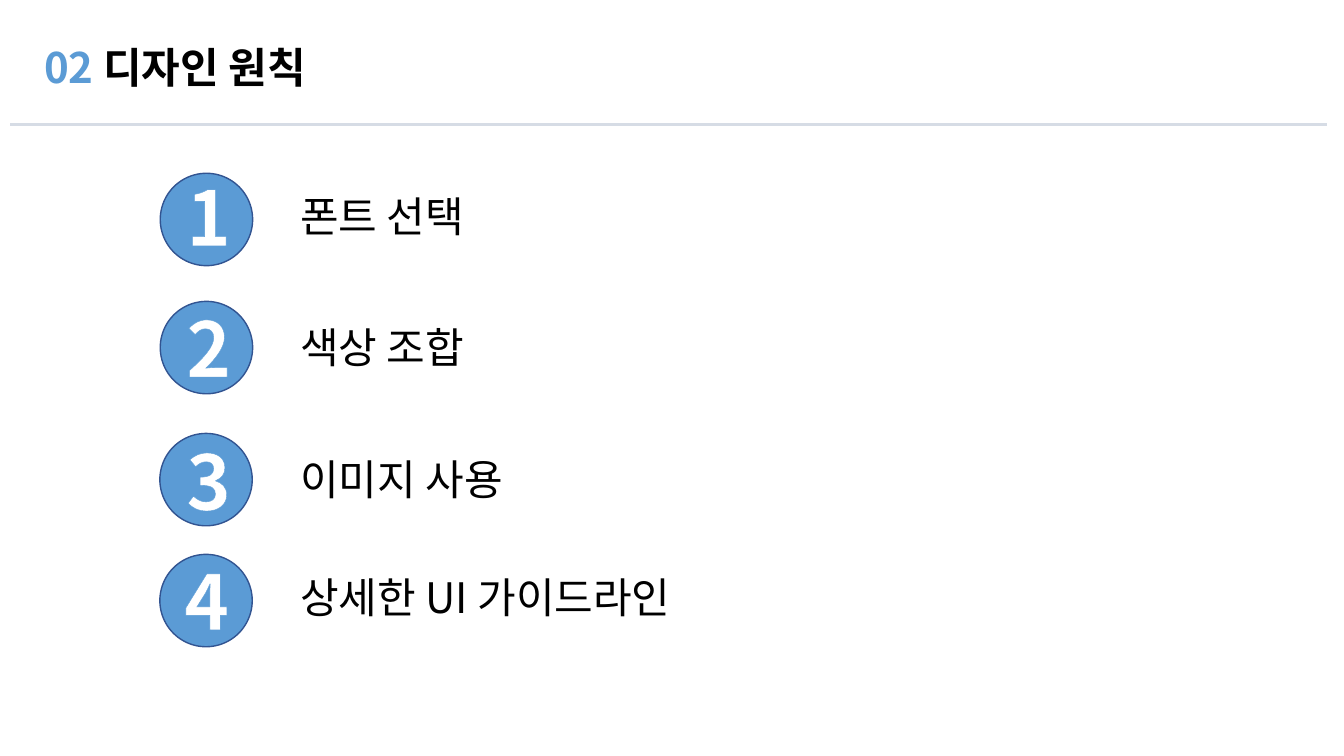
import pptx
import pptx.dml.color
import pptx.enum.shapes
import pptx.enum.text
import pptx.oxml
import pptx.oxml.ns
import pptx.util

Pt = pptx.util.Pt
FONT = "Noto Sans CJK KR"
BLUE, NAVY, GREY = "5B9BD5", "325491", "D6DCE5"
BLACK, WHITE = "000000", "FFFFFF"
DRAWING = pptx.oxml.ns.nsdecls("a")
OUTLINE = (f'<a:ln {DRAWING} w="10160"><a:solidFill><a:srgbClr val="{BLUE}"/>'
           '</a:solidFill></a:ln>')

BODY = {"size": Pt(30), "bold": False}
HEADING = {"size": Pt(30), "bold": True}
NUMERAL = {"size": Pt(54), "bold": True}

# Label, label top, circle left, circle top, numeral left, numeral top
PRINCIPLES = [
    ("폰트 선택", 132.5, 114.5, 123.8, 126, 118),
    ("색상 조합", 226, 114.5, 215.3, 126, 211.7),
    ("이미지 사용", 320.4, 114.2, 309.6, 126, 306.7),
    ("상세한 UI 가이드라인", 404.6, 114.2, 396, 124.6, 392.4),
]


def color(value):
    return pptx.dml.color.RGBColor.from_string(value)


def add_run(paragraph, text, text_color, values, outlined=False):
    run = paragraph.add_run()
    run.text = text
    for name, value in values.items():
        setattr(run.font, name, value)
    run.font.name = FONT
    run.font.color.rgb = color(text_color)
    properties = run.font._element
    properties.append(pptx.oxml.parse_xml(f'<a:ea {DRAWING} typeface="{FONT}"/>'))
    if outlined:
        properties.insert(0, pptx.oxml.parse_xml(OUTLINE))


def add_text(slide, left, top, width, height, wrap=True):
    frame = slide.shapes.add_textbox(Pt(left), Pt(top), Pt(width), Pt(height)).text_frame
    frame.word_wrap = wrap
    frame.auto_size = pptx.enum.text.MSO_AUTO_SIZE.SHAPE_TO_FIT_TEXT
    return frame.paragraphs[0]


def add_rule(slide, left, right, top):
    line = slide.shapes.add_connector(
        pptx.enum.shapes.MSO_CONNECTOR.STRAIGHT, Pt(left), Pt(top), Pt(right), Pt(top))
    line.line.color.rgb = color(GREY)
    line.line.width = Pt(2.25)
    line._element.spPr.append(pptx.oxml.parse_xml(f"<a:effectLst {DRAWING}/>"))


def add_circle(slide, left, top, diameter):
    circle = slide.shapes.add_shape(
        pptx.enum.shapes.MSO_SHAPE.OVAL, Pt(left), Pt(top), Pt(diameter), Pt(diameter))
    circle.shadow.inherit = False
    circle.fill.solid()
    circle.fill.fore_color.rgb = color(BLUE)
    circle.line.color.rgb = color(NAVY)
    circle.line.width = Pt(1)


def add_numeral(slide, number, left, top):
    paragraph = add_text(slide, left, top, 46, 72.7, wrap=False)
    paragraph.alignment = pptx.enum.text.PP_ALIGN.CENTER
    add_run(paragraph, str(number), WHITE, NUMERAL, outlined=True)


def main():
    presentation = pptx.Presentation()
    presentation.slide_width, presentation.slide_height = Pt(960), Pt(540)
    slide = presentation.slides.add_slide(presentation.slide_layouts[6])

    # Heading
    add_rule(slide, 7.2, 948.2, 88.9)
    heading = add_text(slide, 24.5, 25.9, 923.8, 43.9)
    add_run(heading, "02 ", BLUE, HEADING)
    add_run(heading, "디자인 원칙", BLACK, HEADING)

    # Numbered principles
    for number, principle in enumerate(PRINCIPLES, start=1):
        label, label_top, circle_left, circle_top, numeral_left, numeral_top = principle
        add_run(add_text(slide, 207.4, label_top, 640, 43.9), label, BLACK, BODY)
        add_circle(slide, circle_left, circle_top, 66)
        add_numeral(slide, number, numeral_left, numeral_top)

    presentation.save("out.pptx")


if __name__ == "__main__":
    main()
